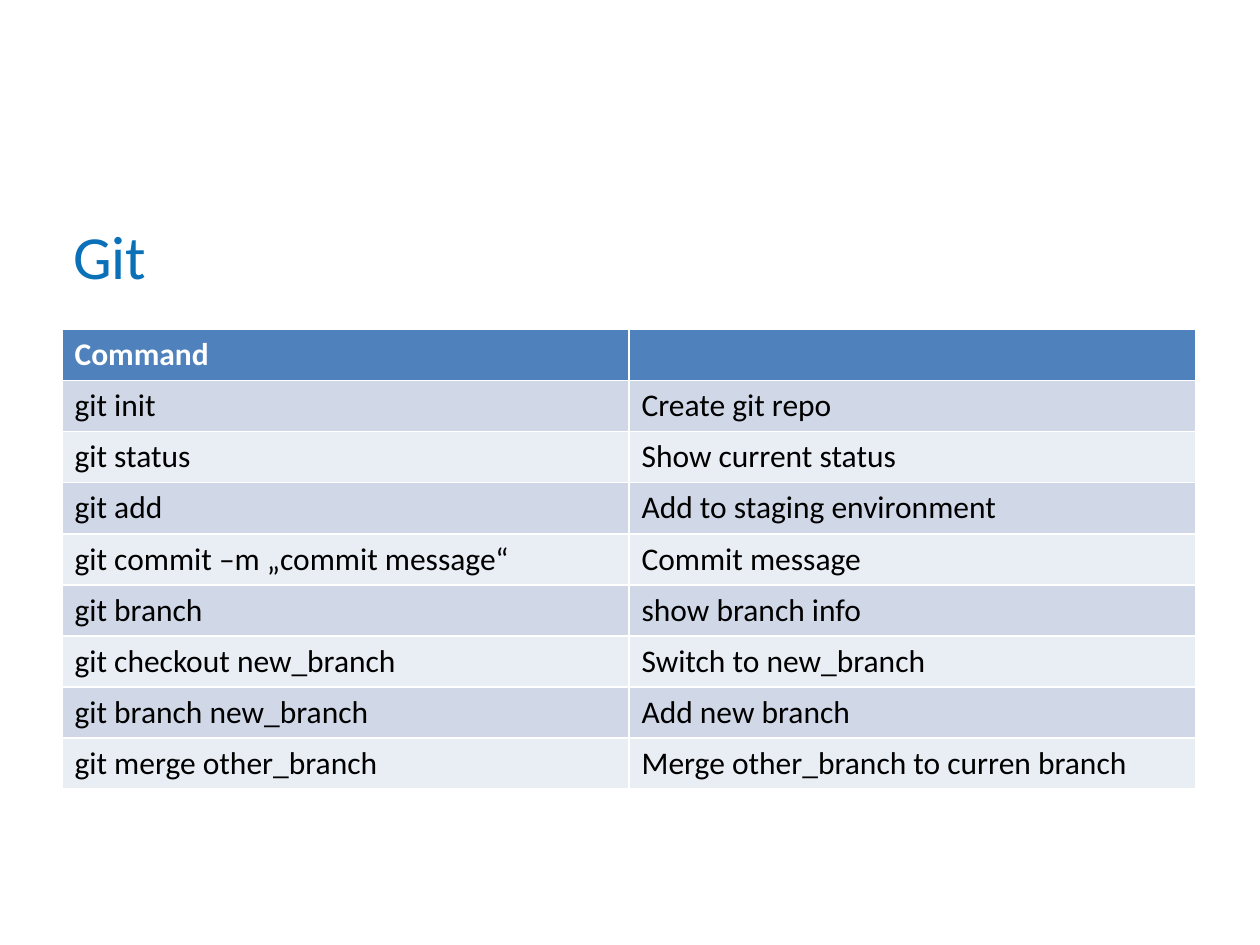
"""Build a slide with a table of common Git commands."""
from pptx import Presentation
from pptx.dml.color import RGBColor
from pptx.enum import text
from pptx.util import Cm, Pt

TITLE = "Git"
ROWS = [
    ("Command", ""),
    ("git init", "Create git repo"),
    ("git status", "Show current status"),
    ("git add", "Add to staging environment"),
    ("git commit –m „commit message“", "Commit message"),
    ("git branch", "show branch info"),
    ("git checkout new_branch", "Switch to new_branch"),
    ("git branch new_branch", "Add new branch"),
    ("git merge other_branch", "Merge other_branch to curren branch"),
]

TITLE_BLUE = RGBColor(0x0A, 0x71, 0xB9)
HEADER_BLUE = RGBColor(0x4F, 0x81, 0xBD)
BANDS = [RGBColor(0xE9, 0xED, 0xF4), RGBColor(0xD0, 0xD8, 0xE8)]
WHITE = RGBColor(0xFF, 0xFF, 0xFF)
BLACK = RGBColor(0, 0, 0)

TITLE_FONT = {"name": "Calibri", "size": Pt(35), "color": TITLE_BLUE}
HEADER_FONT = {"name": "Calibri", "size": Pt(18), "bold": True, "color": WHITE}
BODY_FONT = {**HEADER_FONT, "bold": False, "color": BLACK}
TITLE_PLACE = {"left": Cm(1.22), "top": Cm(2.82), "width": Cm(22.86), "height": Cm(3.18)}
TABLE_PLACE = {"left": Cm(1.25), "top": Cm(6.64), "width": Cm(22.86), "height": Cm(9.27)}


def write(frame, words, style):
    """Put formatted words in the first paragraph of a text frame."""
    para = frame.paragraphs[0]
    para.alignment = text.PP_ALIGN.LEFT
    if not words:
        return
    span = para.add_run()
    span.text = words
    for name, value in style.items():
        if name == "color":
            span.font.color.rgb = value
        else:
            setattr(span.font, name, value)


def add_title(page):
    """Place and format the title placeholder."""
    title = page.shapes.title
    for name, value in TITLE_PLACE.items():
        setattr(title, name, value)
    title.text_frame.vertical_anchor = text.MSO_ANCHOR.BOTTOM
    write(title.text_frame, TITLE, TITLE_FONT)


def add_commands(page):
    """Add the banded command table."""
    table = page.shapes.add_table(len(ROWS), len(ROWS[0]), **TABLE_PLACE).table
    for row, entries in enumerate(ROWS):
        for column, words in enumerate(entries):
            cell = table.cell(row, column)
            cell.fill.solid()
            cell.fill.fore_color.rgb = BANDS[row % 2] if row else HEADER_BLUE
            write(cell.text_frame, words, BODY_FONT if row else HEADER_FONT)


def main():
    """Build and save the deck."""
    deck = Presentation()
    deck.slide_width, deck.slide_height = Cm(25.4), Cm(19.05)
    page = deck.slides.add_slide(deck.slide_layouts.get_by_name("Title Only"))
    add_title(page)
    add_commands(page)
    deck.save("out.pptx")


if __name__ == "__main__":
    main()
